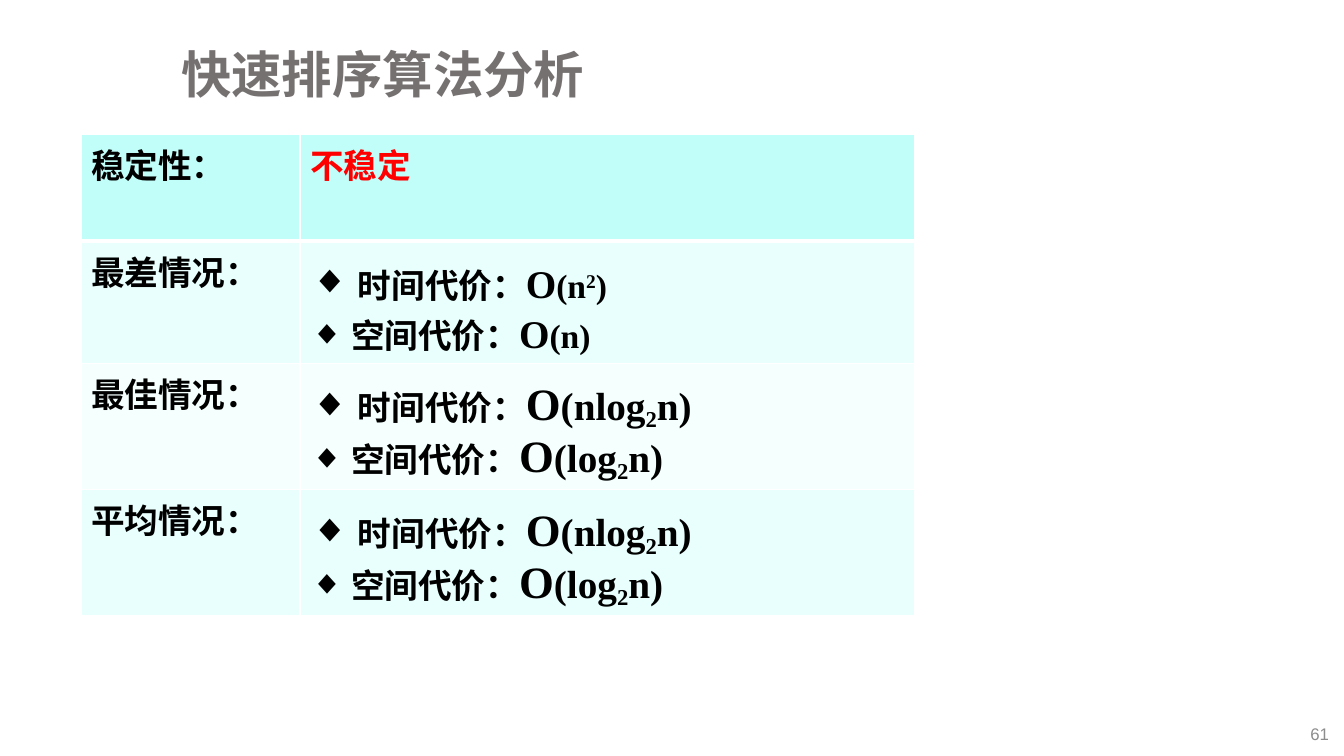
from dataclasses import dataclass

from lxml.etree import SubElement as Sub
from pptx import Presentation
from pptx.dml.color import RGBColor
from pptx.enum.text import MSO_ANCHOR as Anchor, PP_ALIGN as Align
from pptx.oxml.ns import qn
from pptx.util import Emu, Pt

SCALE = 914400 / 100.8

BLACK = RGBColor(0x00, 0x00, 0x00)
RED = RGBColor(0xFF, 0x00, 0x00)
GRAY = RGBColor(0x76, 0x71, 0x71)
PALE = RGBColor(0x8C, 0x8C, 0x8C)
WHITE = RGBColor(0xFF, 0xFF, 0xFF)
HEAD = RGBColor(0xC1, 0xFE, 0xF9)
BAND = RGBColor(0xE9, 0xFF, 0xFD)
LIGHT = RGBColor(0xF4, 0xFF, 0xFE)

ARIAL = "Arial"
NARROW = "Arial Narrow"
NOTO = "Noto Sans CJK SC"
TIMES = "Times New Roman"


@dataclass
class Cost:
    """A big O with its argument: before, raised or lowered 2, after."""
    big: int
    small: int
    pre: str
    two: int = 0
    post: str = ""


@dataclass
class Case:
    name: str
    high: int
    fill: RGBColor
    time: Cost
    space: Cost


LOG_TIME = Cost(32, 28, "(nlog", -18, "n)")
LOG_SPACE = Cost(32, 28, "(log", -18, "n)")
CASES = [
    Case("最差情况：", 115, BAND, Cost(28, 24, "(n", 30, ")"), Cost(28, 24, "(n)")),
    Case("最佳情况：", 120, LIGHT, LOG_TIME, LOG_SPACE),
    Case("平均情况：", 119, BAND, LOG_TIME, LOG_SPACE),
]
HEAD_HIGH = 107
COLS = (219, 615)


def px(n: int) -> Emu:
    return Emu(round(n * SCALE))


def put(para, text: str, *, size: int = 24, font: str = NARROW,
        color: RGBColor = BLACK, bold: bool = True, base: int = 0) -> None:
    run = para.add_run()
    run.text = text
    face = run.font
    face.size, face.name, face.bold = Pt(size), font, bold
    face.color.rgb = color
    if base:
        run._r.get_or_add_rPr().set("baseline", str(base * 1000))


def place(shape, left: int, top: int, wide: int, high: int) -> None:
    shape.left, shape.top = px(left), px(top)
    shape.width, shape.height = px(wide), px(high)


def bullet(para) -> None:
    props = para._p.get_or_add_pPr()
    props.set("marL", "0")
    props.set("indent", "0")
    Sub(props, qn("a:buFont"), typeface=TIMES)
    Sub(props, qn("a:buChar"), char="◆")


def formula(para, cost: Cost) -> None:
    put(para, "O", size=cost.big, font=TIMES)
    put(para, cost.pre, size=cost.small, font=TIMES)
    if cost.two:
        put(para, "2", size=cost.small, font=TIMES, base=cost.two)
        put(para, cost.post, size=cost.small, font=TIMES)


def style(cell, fill: RGBColor, top: int = 1, foot: int = 1) -> None:
    props = cell._tc.get_or_add_tcPr()
    for side, wide in (("L", 1), ("R", 1), ("T", top), ("B", foot)):
        line = Sub(props, qn(f"a:ln{side}"), w=str(Pt(wide)))
        Sub(Sub(line, qn("a:solidFill")), qn("a:srgbClr"), val=str(WHITE))
    cell.fill.solid()
    cell.fill.fore_color.rgb = fill


def draw_table(slide) -> None:
    high = HEAD_HIGH + sum(case.high for case in CASES)
    grid = slide.shapes.add_table(len(CASES) + 1, len(COLS), px(81), px(134),
                                  px(sum(COLS)), px(high)).table
    grid.horz_banding = False
    for col, wide in zip(grid.columns, COLS):
        col.width = px(wide)

    # Stability row
    grid.rows[0].height = px(HEAD_HIGH)
    label, value = grid.rows[0].cells
    put(label.text_frame.paragraphs[0], "稳定性：")
    put(value.text_frame.paragraphs[0], "不稳定", font=NOTO, color=RED)
    for cell in (label, value):
        style(cell, HEAD, foot=3)

    # One row per case
    for i, case in enumerate(CASES, 1):
        grid.rows[i].height = px(case.high)
        label, value = grid.rows[i].cells
        put(label.text_frame.paragraphs[0], case.name)
        value.margin_top = px(12)
        time = value.text_frame.paragraphs[0]
        bullet(time)
        put(time, " ", size=28, font=TIMES)
        put(time, "时间代价：", font=NOTO)
        formula(time, case.time)
        space = value.text_frame.add_paragraph()
        bullet(space)
        put(space, " 空间代价：", font=NOTO)
        formula(space, case.space)
        for cell in (label, value):
            style(cell, case.fill, top=3 if i == 1 else 1)


def main() -> None:
    deck = Presentation()
    deck.slide_width, deck.slide_height = px(1344), px(756)
    slide = deck.slides.add_slide(deck.slide_layouts[5])

    # Title
    title = slide.shapes.title
    place(title, 171, 34, 1134, 86)
    title.text_frame.vertical_anchor = Anchor.MIDDLE
    para = title.text_frame.paragraphs[0]
    para.alignment, para.line_spacing = Align.LEFT, 0.9
    put(para, "快速排序算法分析", size=36, font=ARIAL, color=GRAY)

    draw_table(slide)

    # Page number
    page = slide.shapes.add_textbox(px(1037), px(718), px(302), px(31))
    page.text_frame.word_wrap = True
    page.text_frame.vertical_anchor = Anchor.MIDDLE
    para = page.text_frame.paragraphs[0]
    para.alignment = Align.RIGHT
    put(para, "61", size=12, font=ARIAL, color=PALE, bold=False)

    deck.save("out.pptx")


if __name__ == "__main__":
    main()
